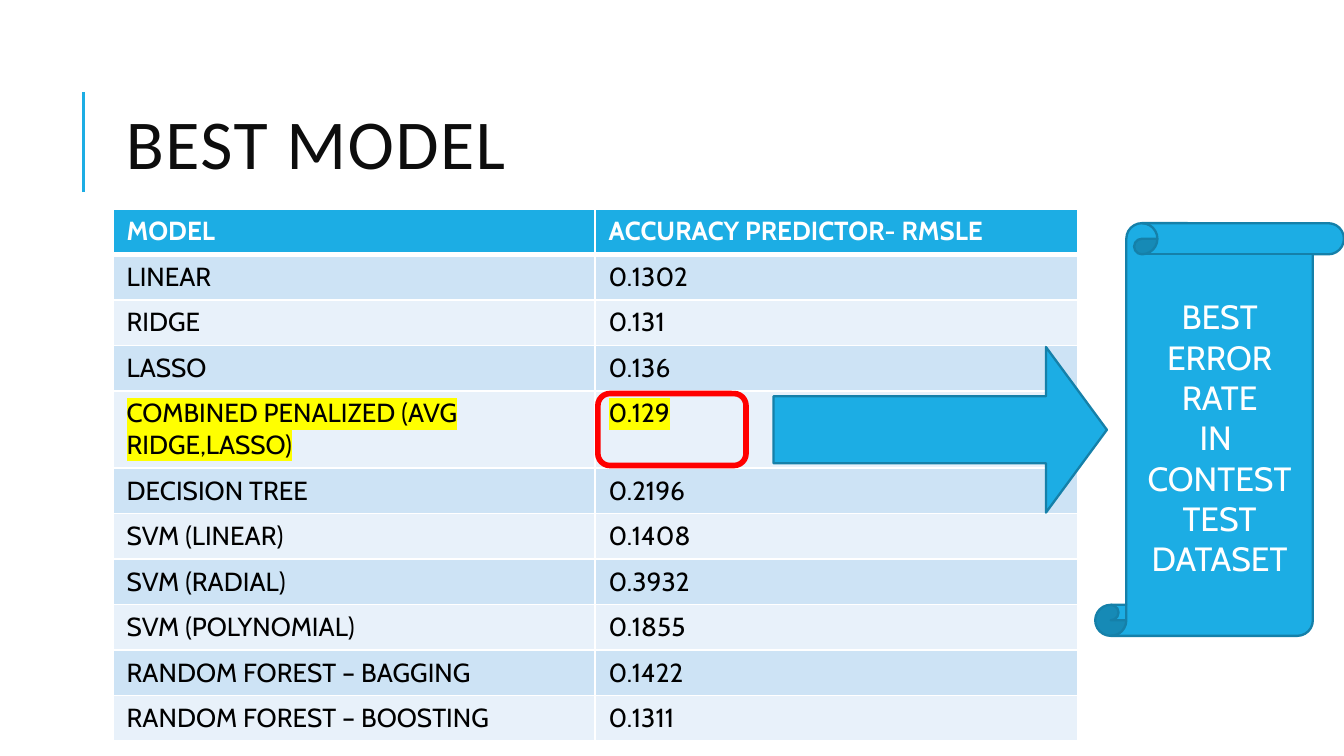
import pptx
import pptx.util
import pptx.dml.color
import pptx.enum.shapes
import pptx.enum.text
import pptx.oxml
import pptx.oxml.ns
from lxml import etree

Cm, Pt = pptx.util.Cm, pptx.util.Pt
SHAPE = pptx.enum.shapes.MSO_SHAPE
ALIGN = pptx.enum.text.PP_ALIGN
ANCHOR = pptx.enum.text.MSO_ANCHOR
qn = pptx.oxml.ns.qn

COLORS = {
    "blue": "1CADE4", "edge": "1580A9", "red": "FF0000", "yellow": "FFFF00",
    "band_dark": "CDE3F5", "band_light": "E8F1FA",
    "white": "FFFFFF", "black": "000000", "title": "0D0D0D",
}
HEADER = ("MODEL", "ACCURACY PREDICTOR- RMSLE")
RESULTS = [
    ("LINEAR", "0.1302"),
    ("RIDGE", "0.131"),
    ("LASSO", "0.136"),
    ("COMBINED PENALIZED (AVG RIDGE,LASSO)", "0.129"),
    ("DECISION TREE", "0.2196"),
    ("SVM (LINEAR)", "0.1408"),
    ("SVM (RADIAL)", "0.3932"),
    ("SVM (POLYNOMIAL)", "0.1855"),
    ("RANDOM FOREST – BAGGING", "0.1422"),
    ("RANDOM FOREST – BOOSTING", "0.1311"),
]
BEST_ROW = 4
ROW_H, BEST_ROW_H = 0.86, 1.44


def rgb(name):
    return pptx.dml.color.RGBColor.from_string(COLORS[name])


def add_run(p, text, size, color, font="Cabin", bold=False, highlight=None):
    r = p.add_run()
    r.text = text
    r.font.size = Pt(size)
    r.font.bold = bold
    r.font.color.rgb = rgb(color)
    if highlight:
        hl = etree.SubElement(r.font._element, qn("a:highlight"))
        etree.SubElement(hl, qn("a:srgbClr"), val=COLORS[highlight])
    r.font.name = font
    return r


def set_borders(cell, widths):
    """Draw white borders; widths maps L, R, T, B to points."""
    tcPr = cell._tc.get_or_add_tcPr()
    for i, (side, width) in enumerate(widths.items()):
        ln = etree.Element(qn("a:ln" + side), w=str(Pt(width)))
        fill = etree.SubElement(ln, qn("a:solidFill"))
        etree.SubElement(fill, qn("a:srgbClr"), val=COLORS["white"])
        tcPr.insert(i, ln)


def add_shape(s, kind, box, fill, line, width):
    sp = s.shapes.add_shape(kind, *(Cm(v) for v in box))
    sp.shadow.inherit = False
    if fill:
        sp.fill.solid()
        sp.fill.fore_color.rgb = rgb(fill)
    else:
        sp.fill.background()
    sp.line.color.rgb = rgb(line)
    sp.line.width = Pt(width)
    return sp


def add_title(s, box, text):
    left, top, width, height = box
    # Accent line beside the title
    x = Cm(left - 0.55)
    line = s.shapes.add_connector(pptx.enum.shapes.MSO_CONNECTOR.STRAIGHT,
                                  x, Cm(top + 1.7), x, Cm(top - 0.2))
    line.line.color.rgb = rgb("blue")
    line.line.width = Pt(1.5)
    etree.SubElement(line._element.spPr, qn("a:effectLst"))

    sp = s.shapes.title
    sp.left, sp.top, sp.width, sp.height = (Cm(v) for v in box)
    tf = sp.text_frame
    tf.word_wrap = True
    tf.auto_size = pptx.enum.text.MSO_AUTO_SIZE.NONE
    tf.vertical_anchor = ANCHOR.TOP
    tf.margin_left = tf.margin_right = tf.margin_top = tf.margin_bottom = Cm(0.25)
    p = tf.paragraphs[0]
    p.alignment = ALIGN.LEFT
    p.line_spacing = 0.8
    r = add_run(p, text, 37.5, "title", "Calibri")
    r.font._element.set("spc", "80")


def add_results(s, box):
    rows = [HEADER] + RESULTS
    table = s.shapes.add_table(len(rows), len(HEADER), *(Cm(v) for v in box)).table
    for col in table.columns:
        col.width = Cm(box[2] / len(HEADER))
    for i, values in enumerate(rows):
        table.rows[i].height = Cm(BEST_ROW_H if i == BEST_ROW else ROW_H)
        fill = "blue" if i == 0 else ("band_dark" if i % 2 else "band_light")
        widths = {"L": 1, "R": 1, "T": 3 if i == 1 else 1, "B": 3 if i == 0 else 1}
        for j, text in enumerate(values):
            cell = table.cell(i, j)
            cell.fill.solid()
            cell.fill.fore_color.rgb = rgb(fill)
            set_borders(cell, widths)
            add_run(cell.text_frame.paragraphs[0], text, 14,
                    "white" if i == 0 else "black", bold=i == 0,
                    highlight="yellow" if i == BEST_ROW else None)


def add_callout(s, box, lines):
    left, top, width, height = box
    # Frame around the best value
    add_shape(s, SHAPE.ROUNDED_RECTANGLE, (left, top + 3.22, 2.8, 1.36), None, "red", 3)
    # Arrow to the scroll
    arrow = add_shape(s, SHAPE.RIGHT_ARROW, (left + 3.32, top + 2.34, 6.3, 3.13),
                      "blue", "edge", 1.25)
    arrow.adjustments[0], arrow.adjustments[1] = 0.405, 0.368
    # Scroll at the right end
    scroll = add_shape(s, SHAPE.VERTICAL_SCROLL, (left + width - 4.7, top, 4.7, height),
                       "blue", "edge", 1.25)
    tf = scroll.text_frame
    tf.word_wrap = True
    tf.vertical_anchor = ANCHOR.MIDDLE
    for i, text in enumerate(lines):
        p = tf.paragraphs[0] if i == 0 else tf.add_paragraph()
        p.alignment = ALIGN.CENTER
        add_run(p, text, 18, "white")


def main():
    prs = pptx.Presentation()
    prs.slide_width, prs.slide_height = Cm(25.4), Cm(14.29)
    s = prs.slides.add_slide(prs.slide_layouts[5])
    add_title(s, (2.13, 1.93, 20.24, 3.12), "BEST MODEL")
    add_results(s, (2.14, 3.95, 18.22, 10 * ROW_H + BEST_ROW_H))
    add_callout(s, (11.3, 4.22, 14.1, 7.8),
                ("BEST ERROR RATE", "IN ", "CONTEST TEST DATASET"))
    prs.save("out.pptx")


if __name__ == "__main__":
    main()
